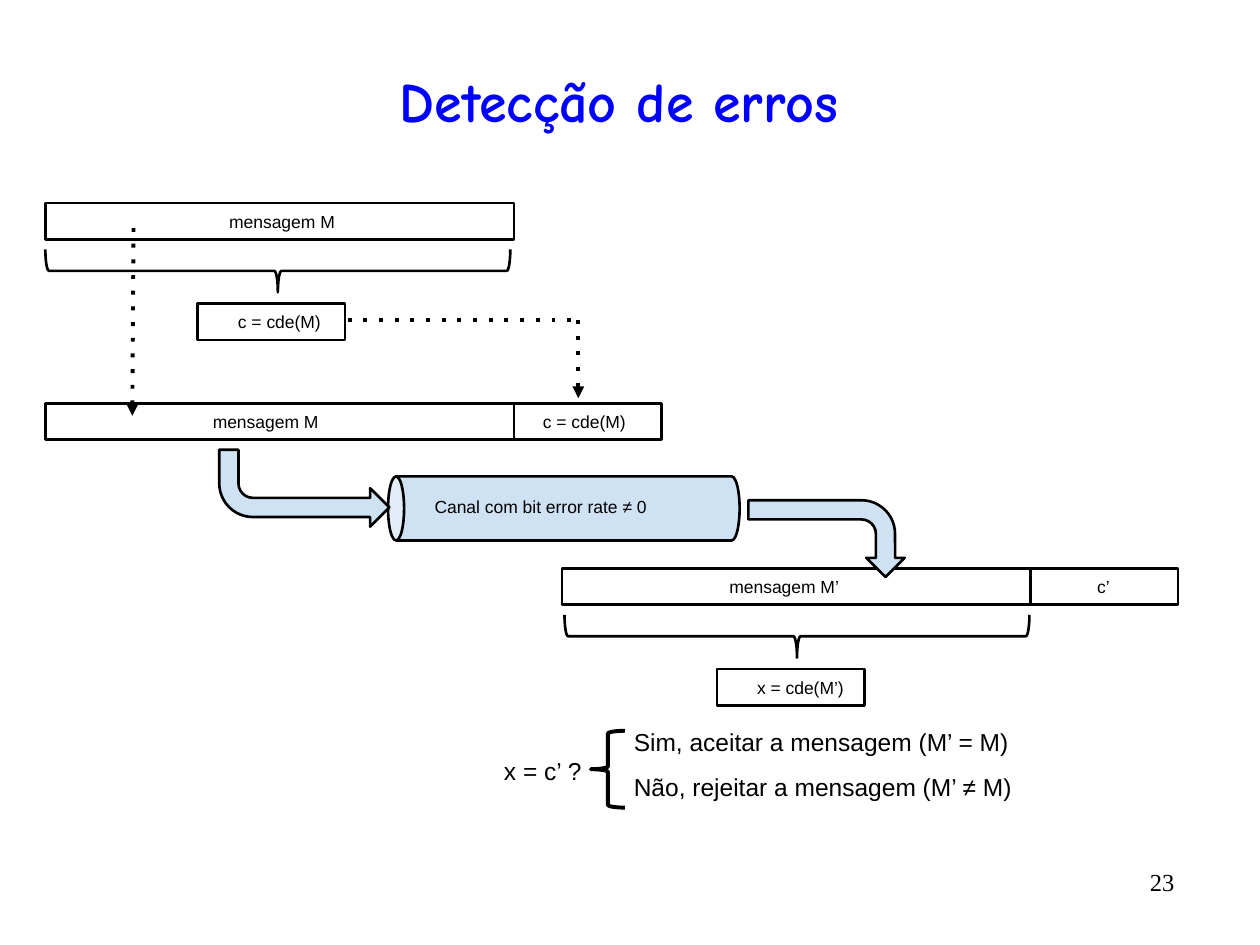
from lxml.etree import SubElement
from pptx import Presentation
from pptx.dml.color import RGBColor
from pptx.enum.dml import MSO_LINE as Dash
from pptx.enum.shapes import MSO_CONNECTOR as Link, MSO_SHAPE as Kind
from pptx.enum.text import MSO_ANCHOR as Anchor, PP_ALIGN as Align
from pptx.oxml.ns import qn
from pptx.util import Pt

PX = 9144
BLACK = RGBColor(0, 0, 0)
BLUE = RGBColor(0, 0, 255)
PALE = RGBColor(0xCF, 0xE2, 0xF3)
BAR, CODE, HIGH = 372, 117, 29


def emu(*vals):
    """Turn px lengths into EMU."""
    return [round(v * PX) for v in vals]


def write(slide, box, text, size=10, font="Arial", color=BLACK, bold=False,
          align=Align.LEFT, anchor=Anchor.TOP, left=10, pad=10):
    """Place one line of text in a box."""
    frame = slide.shapes.add_textbox(*emu(*box)).text_frame
    frame.word_wrap = True
    frame.vertical_anchor = anchor
    frame.margin_left, frame.margin_right = emu(left, 10)
    frame.margin_top, frame.margin_bottom = emu(pad, pad)
    para = frame.paragraphs[0]
    para.alignment = align
    run = para.add_run()
    run.text = text
    run.font.size, run.font.name, run.font.bold = Pt(size), font, bold
    run.font.color.rgb = color


def draw(slide, kind, box, turn=0, fill=None, width=1.5, adj=()):
    """Draw a preset shape whose turned outline fills the box."""
    x, y, w, h = box
    if turn % 180:
        x, y, w, h = x + (w - h) / 2, y + (h - w) / 2, h, w
    shape = slide.shapes.add_shape(kind, *emu(x, y, w, h))
    shape.shadow.inherit = False
    shape.rotation = turn
    for spot, value in enumerate(adj):
        shape.adjustments[spot] = value
    if fill is None:
        shape.fill.background()
    else:
        shape.fill.solid()
        shape.fill.fore_color.rgb = fill
    shape.line.color.rgb = BLACK
    shape.line.width = Pt(width)
    return shape


def dots(slide, start, end, head=True):
    """Draw a dotted line, with an arrowhead if asked."""
    link = slide.shapes.add_connector(Link.STRAIGHT, *emu(*start, *end))
    link.line.color.rgb = BLACK
    link.line.width = Pt(2.25)
    link.line.dash_style = Dash.ROUND_DOT
    link.line.dash_style = Dash.SQUARE_DOT
    props = link.element.spPr
    dash = props.find(".//" + qn("a:prstDash"))
    dash.set("val", "dot")
    if head:
        SubElement(props.find(qn("a:ln")), qn("a:tailEnd"), type="triangle")
    SubElement(props, qn("a:effectLst"))


def cell(slide, x, y, wide, text, shift):
    """Draw a framed field and its label."""
    draw(slide, Kind.RECTANGLE, (x, y, wide, HIGH))
    write(slide, (x + shift, y - 7, 125, 43), text, anchor=Anchor.MIDDLE)


def brace(slide, x, y):
    """Draw a brace that points down, below a message bar."""
    draw(slide, Kind.RIGHT_BRACE, (x, y, 369, 34), turn=90, adj=(0.083, 0.5))


def bent(slide, box, turn=0):
    """Draw a pale bent arrow."""
    return draw(slide, Kind.BENT_ARROW, box, turn, PALE,
                adj=(0.25, 0.25, 0.25, 0.438))


def sender(slide, x, y):
    """Draw the message, its code and the frame that joins them."""
    cell(slide, x, y, BAR, "mensagem M", 136)
    cell(slide, x + 121, y + 80, CODE, "c = cde(M)", 22)
    cell(slide, x, y + 159, BAR, "mensagem M", 123)
    cell(slide, x + BAR, y + 159, CODE, "c = cde(M)", 13)
    brace(slide, x, y + 37)
    bend = x + 423, y + 93
    dots(slide, (x + 70, y + 20), (x + 69, y + 169))
    dots(slide, (x + 240, y + 93), bend, head=False)
    dots(slide, bend, (x + 423, y + 155))


def target(slide, x, y):
    """Draw the frame that arrives and its new code."""
    cell(slide, x, y, BAR, "mensagem M’", 123)
    cell(slide, x + BAR, y, CODE, "c’", 43)
    brace(slide, x + 2, y + 37)
    cell(slide, x + 123, y + 80, CODE, "x = cde(M’)", 22)


def channel(slide, x, y):
    """Draw the channel with an arrow in and an arrow out."""
    draw(slide, Kind.CAN, (x, y, 279, 51), turn=270, fill=PALE, adj=(0.25,))
    write(slide, (x + 27, y + 7, 215, 51), "Canal com bit error rate ≠ 0")
    arrow = bent(slide, (x - 134, y - 21, 135, 61))
    arrow.element.spPr.xfrm.set("flipV", "1")
    bent(slide, (x + 286, y + 19, 124, 61), turn=90)


def verdict(slide, x, y):
    """Write the test and its two outcomes."""
    lines = [
        (0, 23, 103, "x = c’ ?"),
        (103, 0, 338, "Sim, aceitar a mensagem (M’ = M)"),
        (103, 36, 378, "Não, rejeitar a mensagem (M’ ≠ M)"),
    ]
    for dx, dy, wide, text in lines:
        write(slide, (x + dx, y + dy, wide, 43), text, size=14, left=15)
    draw(slide, Kind.LEFT_BRACE, (x + 84, y + 13, 27, 61), width=2.25,
         adj=(0.083, 0.5))


def main():
    """Build the slide and save it."""
    deck = Presentation()
    deck.slide_width, deck.slide_height = emu(1000, 750)
    slide = deck.slides.add_slide(deck.slide_layouts[6])
    write(slide, (33, 42, 917, 75), "Detecção de erros", size=32,
          font="Comic Neue", color=BLUE, bold=True, align=Align.CENTER,
          anchor=Anchor.MIDDLE, pad=5)
    write(slide, (842, 683, 100, 42), "23", size=14, font="Times New Roman",
          align=Align.RIGHT, pad=5)
    sender(slide, 36, 161)
    target(slide, 446, 451)
    channel(slide, 308, 378)
    verdict(slide, 385, 567)
    deck.save("out.pptx")


if __name__ == "__main__":
    main()
